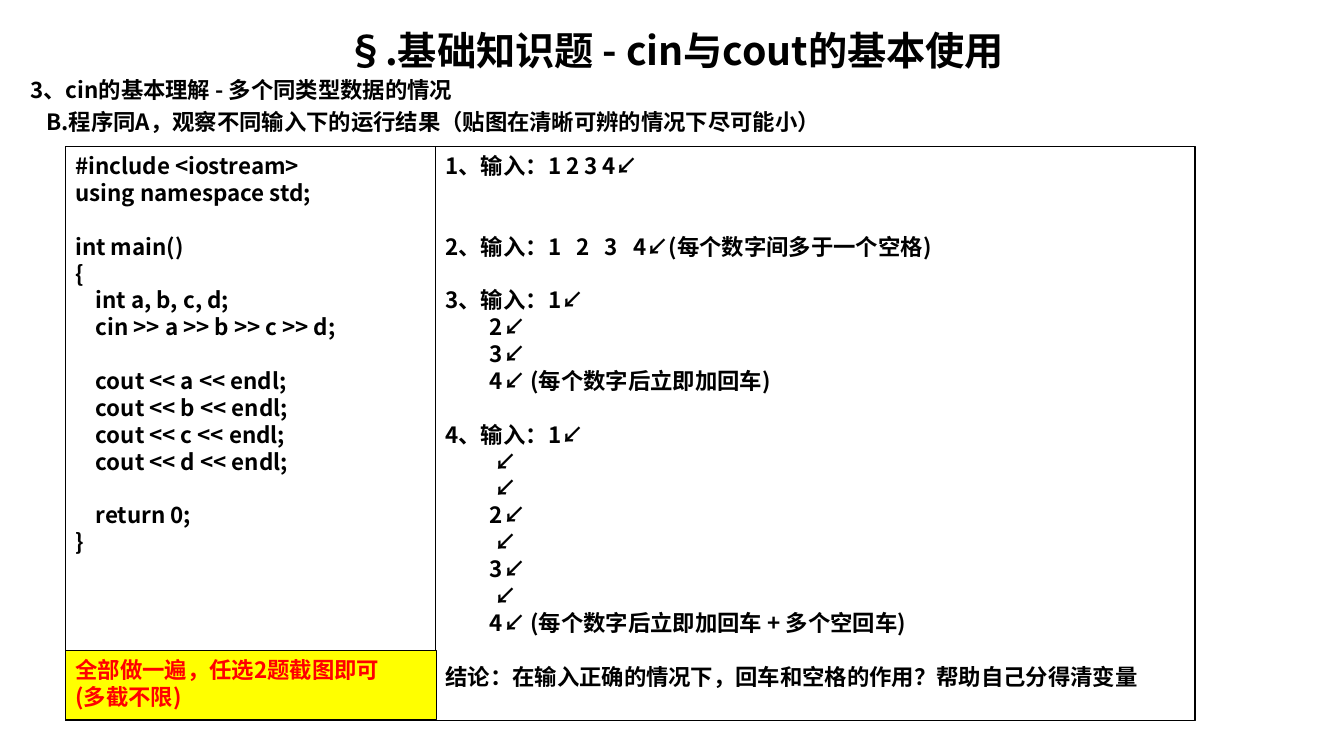
from lxml.etree import SubElement
from pptx import Presentation
from pptx.dml.color import RGBColor
from pptx.enum.shapes import MSO_SHAPE
from pptx.enum.text import MSO_ANCHOR, MSO_AUTO_SIZE, PP_ALIGN
from pptx.oxml.ns import qn
from pptx.util import Inches, Pt

FONT = "Noto Sans CJK SC"
BODY_SIZE = 16
LINE_PITCH = 1.2  # line height as a multiple of the font size
BLANK_LINE = BODY_SIZE * LINE_PITCH


def add_box(left, top, width, height, fill=None):
    box = slide.shapes.add_shape(MSO_SHAPE.RECTANGLE, Inches(left), Inches(top),
                                 Inches(width), Inches(height))
    box.shadow.inherit = False
    box.line.color.rgb = RGBColor.from_string("000000")
    box.line.width = Pt(0.75)
    if fill:
        box.fill.solid()
        box.fill.fore_color.rgb = RGBColor.from_string(fill)
    else:
        box.fill.background()
    return box


def write_lines(shape, lines, color="000000", top_inset=0.06):
    """Fill a shape with (text, size, space before, indent, alignment) lines."""
    frame = shape.text_frame
    frame.word_wrap = True
    frame.auto_size = MSO_AUTO_SIZE.NONE
    frame.vertical_anchor = MSO_ANCHOR.TOP
    frame.margin_left = frame.margin_right = Inches(0.1)
    frame.margin_top, frame.margin_bottom = Inches(top_inset), Inches(0.05)
    for number, (text, size, space_before, indent, alignment) in enumerate(lines):
        paragraph = frame.add_paragraph() if number else frame.paragraphs[0]
        paragraph.text = text
        paragraph.alignment = alignment
        paragraph.line_spacing = Pt(size * LINE_PITCH)
        paragraph.space_before = Pt(space_before)
        properties = paragraph._p.get_or_add_pPr()
        properties.set("marL", str(Inches(indent)))
        properties.set("indent", "0")
        paragraph.font.size = Pt(size)
        paragraph.font.bold = True
        paragraph.font.color.rgb = RGBColor.from_string(color)
        paragraph.font.name = FONT
        SubElement(properties.find(qn("a:defRPr")), qn("a:ea"), typeface=FONT)


presentation = Presentation()
presentation.slide_width = Inches(13.33)
presentation.slide_height = Inches(7.5)
slide = presentation.slides.add_slide(presentation.slide_layouts[0])
title = slide.shapes.title._element
title.getparent().remove(title)

add_box(0.65, 1.45, 11.21, 5.7)

heading = slide.placeholders[1]
heading.left, heading.top = Inches(0.2), Inches(0.18)
heading.width, heading.height = Inches(12.99), Inches(7.09)
write_lines(heading, [
    ("§.基础知识题 - cin与cout的基本使用", 28, 0, 0, PP_ALIGN.CENTER),
    ("3、cin的基本理解 - 多个同类型数据的情况", BODY_SIZE, 2, 0, PP_ALIGN.LEFT),
    ("B.程序同A，观察不同输入下的运行结果（贴图在清晰可辨的情况下尽可能小）",
     BODY_SIZE, 3.5, 0.16, PP_ALIGN.LEFT),
], top_inset=0.08)

# Each group is a block of code; one empty line separates the blocks.
code_blocks = [
    ["#include <iostream>", "using namespace std;"],
    ["int main()", "{", "    int a, b, c, d;", "    cin >> a >> b >> c >> d;"],
    [f"    cout << {name} << endl;" for name in "abcd"],
    ["    return 0;", "}"],
]
code_lines = [
    (text, BODY_SIZE, BLANK_LINE if block_number and not row else 0, 0, PP_ALIGN.LEFT)
    for block_number, block in enumerate(code_blocks)
    for row, text in enumerate(block)
]
write_lines(add_box(0.65, 1.45, 3.67, 5.7), code_lines)

# Empty lines before each question, then its first line and the indented inputs.
questions = [
    (0, ["1、输入：1 2 3 4↙"]),
    (2, ["2、输入：1   2   3   4↙(每个数字间多于一个空格)"]),
    (1, ["3、输入：1↙", "2↙", "3↙", "4↙ (每个数字后立即加回车)"]),
    (1, ["4、输入：1↙", "↙", "↙", "2↙", "↙", "3↙", "↙",
         "4↙ (每个数字后立即加回车 + 多个空回车)"]),
    (1, ["结论：在输入正确的情况下，回车和空格的作用？帮助自己分得清变量"]),
]
question_lines = []
for gap, texts in questions:
    for row, text in enumerate(texts):
        indent = 0 if row == 0 else 0.49 if text == "↙" else 0.44
        space_before = 0 if row else gap * BLANK_LINE
        question_lines.append((text, BODY_SIZE, space_before, indent, PP_ALIGN.LEFT))
write_lines(add_box(4.32, 1.45, 7.53, 5.7), question_lines)

requirement_lines = [
    (text, BODY_SIZE, 0, 0, PP_ALIGN.LEFT)
    for text in ("全部做一遍，任选2题截图即可", "(多截不限)")
]
write_lines(add_box(0.65, 6.45, 3.68, 0.69, fill="FFFF00"), requirement_lines, color="FF0000")

presentation.save("out.pptx")
